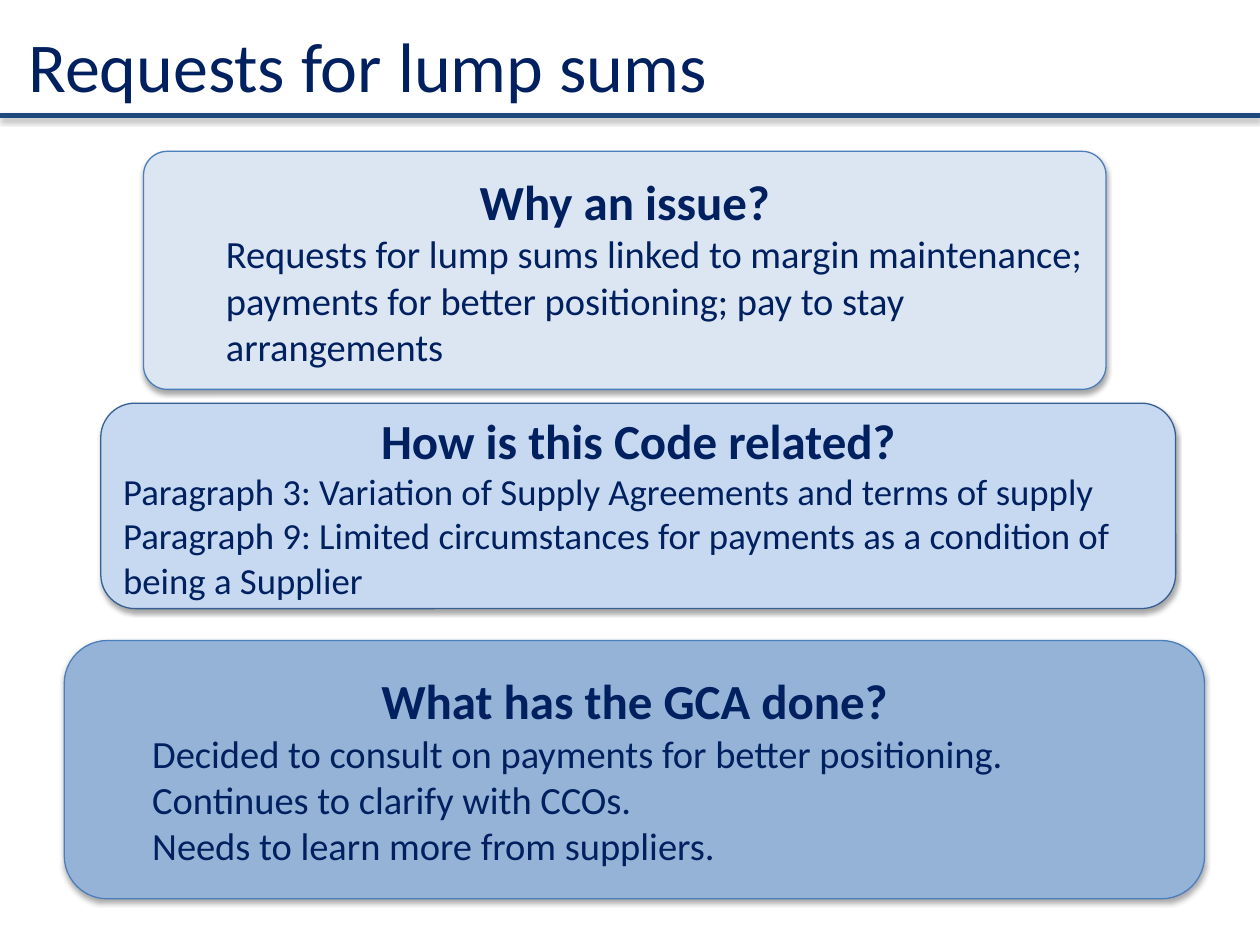
from lxml import etree
from pptx import Presentation
from pptx.dml.color import RGBColor
from pptx.enum.shapes import MSO_CONNECTOR, MSO_SHAPE
from pptx.enum.text import MSO_ANCHOR, PP_ALIGN
from pptx.oxml.ns import qn
from pptx.util import Pt

STRAIGHT = MSO_CONNECTOR.STRAIGHT
ROUNDED = MSO_SHAPE.ROUNDED_RECTANGLE
MIDDLE = MSO_ANCHOR.MIDDLE
LEFT, CENTER = PP_ALIGN.LEFT, PP_ALIGN.CENTER

COLORS = {
    "text": "002060",
    "rule": "1F497D",
    "shadow": "000000",
    "pale": "DCE6F2",
    "light": "C6D9F1",
    "medium": "95B3D7",
    "edge": "4B7EBC",
    "dark_edge": "376092",
}


def rgb(name):
    return RGBColor.from_string(COLORS[name])


def write(paragraph, text, size, bold=False, align=LEFT, indent=0, font="Calibri"):
    if indent:
        properties = paragraph._p.get_or_add_pPr()
        properties.set("marL", str(Pt(indent)))
        properties.set("indent", "0")
    paragraph.alignment = align
    run = paragraph.add_run()
    run.text = text
    run.font.name = font
    run.font.size = Pt(size)
    run.font.bold = bold
    run.font.color.rgb = rgb("text")


class Deck:
    def __init__(self, width, height):
        self.presentation = Presentation()
        self.presentation.slide_width = Pt(width)
        self.presentation.slide_height = Pt(height)
        self.slide = self.presentation.slides.add_slide(self.presentation.slide_layouts[6])

    def add_shadow(self, element):
        effects = etree.SubElement(element._element.spPr, qn("a:effectLst"))
        shadow = etree.SubElement(
            effects, qn("a:outerShdw"), blurRad=str(Pt(3.1)), dist=str(Pt(1.8)),
            dir=str(90 * 60000), rotWithShape="0")
        color = etree.SubElement(shadow, qn("a:srgbClr"), val=COLORS["shadow"])
        etree.SubElement(color, qn("a:alpha"), val="35000")

    def title(self, text, left, top, width, height):
        heading = self.slide.shapes.add_textbox(Pt(left), Pt(top), Pt(width), Pt(height))
        frame = heading.text_frame
        frame.word_wrap = True
        frame.vertical_anchor = MIDDLE
        frame.margin_left = Pt(16.2)
        write(frame.paragraphs[0], text, 40)

    def rule(self, top, width):
        rule = self.slide.shapes.add_connector(STRAIGHT, 0, Pt(top), Pt(width), Pt(top))
        rule.line.color.rgb = rgb("rule")
        rule.line.width = Pt(3)
        self.add_shadow(rule)

    def panel(self, question, answers, bounds, fill, edge="edge", corner=0.1667, size=22, indent=36):
        panel = self.slide.shapes.add_shape(ROUNDED, *map(Pt, bounds))
        panel.adjustments[0] = corner
        panel.fill.solid()
        panel.fill.fore_color.rgb = rgb(fill)
        panel.line.color.rgb = rgb(edge)
        panel.line.width = Pt(0.75)
        self.add_shadow(panel)
        frame = panel.text_frame
        frame.word_wrap = True
        frame.vertical_anchor = MIDDLE
        write(frame.paragraphs[0], question, 28, bold=True, align=CENTER)
        for answer in answers:
            write(frame.add_paragraph(), answer, size, indent=indent)


def main():
    deck = Deck(720, 540)
    deck.title("Requests for lump sums", 0, -8, 648, 90)
    deck.rule(66, 720)
    deck.panel(
        "Why an issue?",
        ["Requests for lump sums linked to margin maintenance; "
         "payments for better positioning; pay to stay arrangements"],
        (82, 86.5, 550, 136), "pale", corner=0.1)
    deck.panel(
        "How is this Code related?",
        ["Paragraph 3: Variation of Supply Agreements and terms of supply",
         "Paragraph 9: Limited circumstances for payments as a condition of being a Supplier"],
        (57.6, 230.4, 614.2, 117.4), "light", edge="dark_edge", size=21, indent=0)
    deck.panel(
        "What has the GCA done?",
        ["Decided to consult on payments for better positioning.",
         "Continues to clarify with CCOs.",
         "Needs to learn more from suppliers."],
        (36.7, 366, 651.6, 147.6), "medium")
    deck.presentation.save("out.pptx")


if __name__ == "__main__":
    main()
